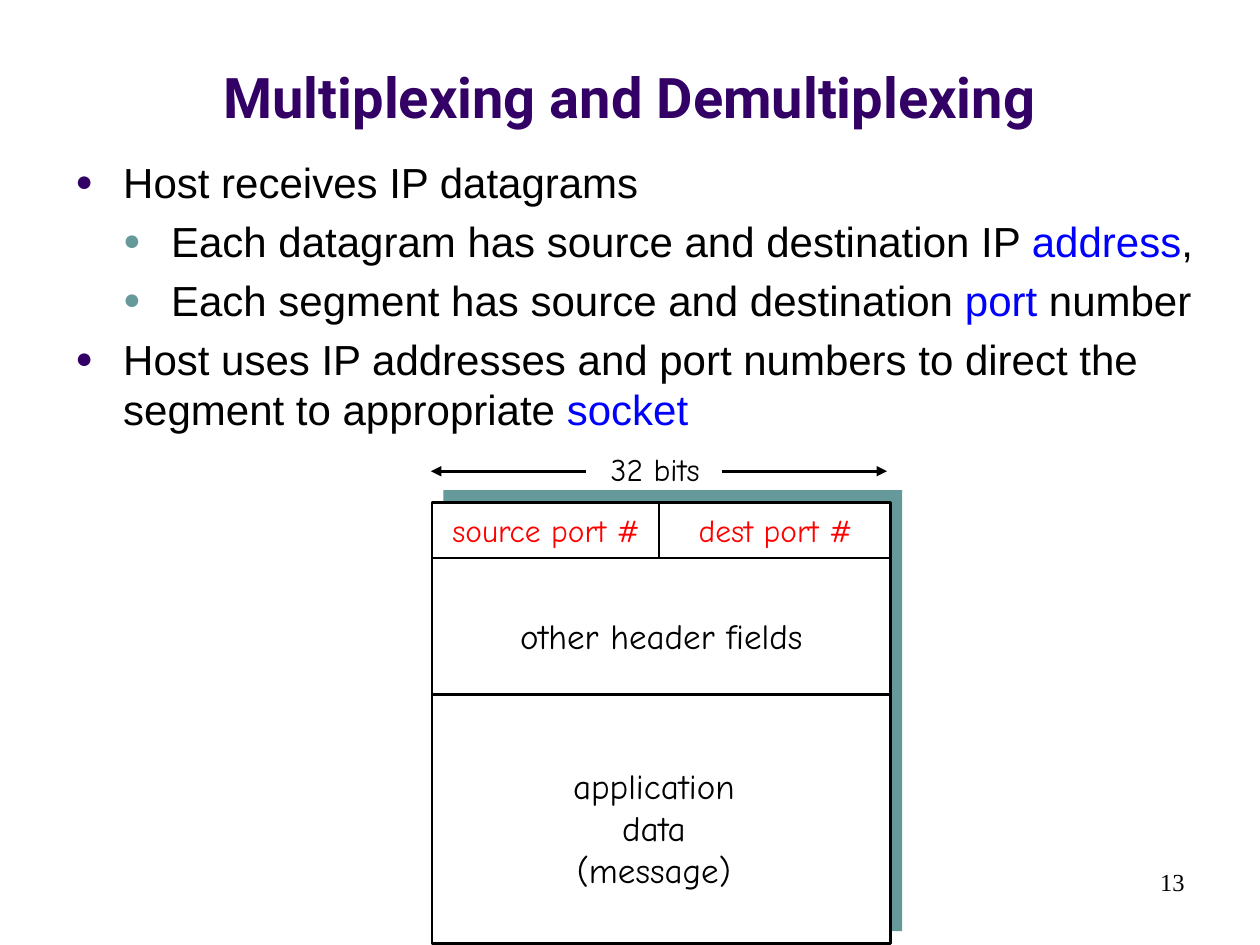
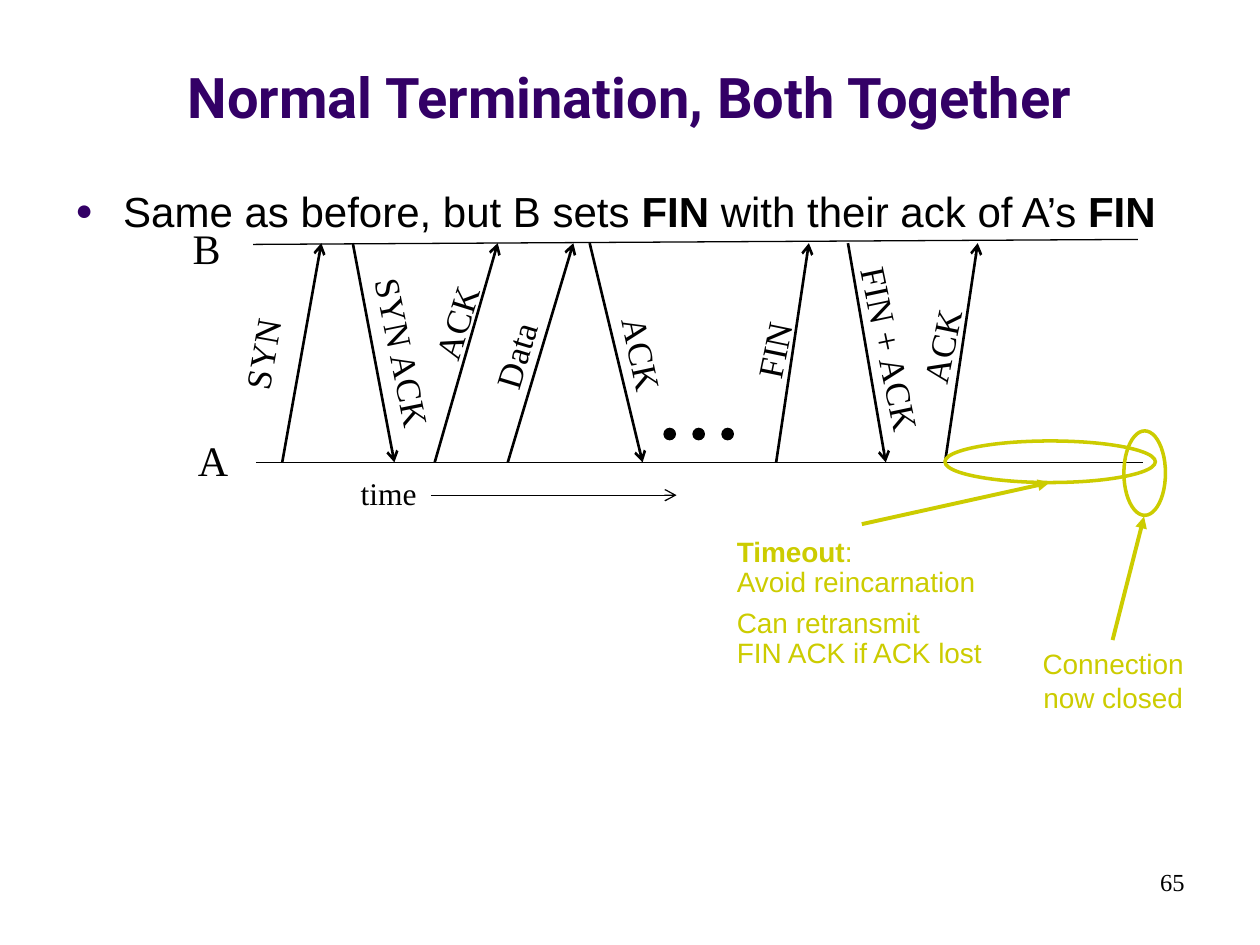
from lxml import etree
from pptx import Presentation, util as u
from pptx.dml.color import RGBColor
from pptx.enum import shapes as sh, text as tx
from pptx.oxml.ns import qn

INK, WHITE, NAVY, TEAL = "000000", "FFFFFF", "330066", "669999"
BLUE, RED, GOLD = "0000FF", "FF0000", "CCCC00"
SANS, SERIF, HAND, HEAD = "Arial", "Times New Roman", "Comic Neue", "Roboto"
MID, LEFT, RIGHT = tx.PP_ALIGN.CENTER, tx.PP_ALIGN.LEFT, tx.PP_ALIGN.RIGHT
RECT, OVAL = sh.MSO_SHAPE.RECTANGLE, sh.MSO_SHAPE.OVAL

# Words between asterisks are emphasised; bullets are (level, text).
PORTS = {
    "title": "Multiplexing and Demultiplexing", "page": "13", "top": 1.19,
    "mark": {"color": BLUE},
    "items": [
        (0, "Host receives IP datagrams"),
        (1, "Each datagram has source and destination IP *address*,"),
        (1, "Each segment has source and destination *port* number"),
        (0, "Host uses IP addresses and port numbers to direct the "
            "segment to appropriate *socket*"),
    ],
}
CLOSE = {
    "title": "Normal Termination, Both Together", "page": "65", "top": 1.42,
    "mark": {"bold": True},
    "items": [(0, "Same as before, but B sets *FIN* with their ack of A’s *FIN*")],
}

# Segment fields: text, left, top, width, height, size, colour
FIELDS = [
    ("32 bits", 4.68, 3.52, 1.04, 0.4, 18, INK),
    ("source port #", 3.42, 4.01, 1.83, 0.4, 18, RED),
    ("dest port #", 5.36, 4.01, 1.59, 0.4, 18, RED),
    ("other header fields", 3.88, 4.83, 2.74, 0.43, 20, INK),
    ("application\ndata\n(message)", 4.4, 6.02, 1.58, 1.1, 20, INK),
]

# Messages: label, goes up, start x, end x, label centre, label width, turn
FLOW = [
    ("SYN", True, 2.24, 2.55, (2.08, 2.81), 0.76, 280.1),
    ("SYN ACK", False, 2.8, 3.13, (3.2, 2.8), 1.41, 78.5),
    ("ACK", True, 3.45, 3.95, (3.62, 2.56), 0.79, 287.4),
    ("Data", True, 4.03, 4.55, (4.09, 2.82), 0.73, 286.7),
    ("ACK", False, 4.68, 5.1, (5.1, 2.81), 0.79, 77.9),
    ("FIN", True, 6.16, 6.42, (6.14, 2.78), 0.65, 281.6),
    ("FIN + ACK", False, 6.73, 7.03, (7.07, 2.77), 1.53, 78.1),
    ("ACK", True, 7.5, 7.76, (7.47, 2.75), 0.79, 281.6),
]
AXIS = [("B", 1.43, 1.72, 0.42, 0.5, 24), ("A", 1.47, 3.4, 0.44, 0.5, 24),
        ("time", 2.76, 3.71, 0.65, 0.4, 18)]
# Note paragraphs: text, line spacing
TIMEOUT = [("*Timeout*:", None), ("Avoid reincarnation", 0.4),
           ("Can retransmit\nFIN ACK if ACK lost", 0.9)]
CLOSED = [("Connection\nnow closed", None)]


def rgb(code):
    """Turn a hex string into a colour."""
    return RGBColor.from_string(code)


def style(run, font, size, color, bold=False):
    """Format one run."""
    run.font.name, run.font.size = font, u.Pt(size)
    run.font.bold, run.font.color.rgb = bold, rgb(color)


def write(para, words, mark=None, **look):
    """Fill a paragraph, applying mark to the words between asterisks."""
    for i, part in enumerate(words.split("*")):
        for j, line in enumerate(part.split("\n")):
            if j:
                para.add_line_break()
            if line:
                run = para.add_run()
                run.text = line
                style(run, **{**look, **(mark if i % 2 else {})})


def frame(slide, at, anchor=tx.MSO_ANCHOR.TOP, wrap=True, turn=0):
    """Add a text box and return its text frame."""
    box = slide.shapes.add_textbox(*map(u.Inches, at))
    box.rotation = turn
    body = box.text_frame
    body.word_wrap, body.vertical_anchor = wrap, anchor
    return body


def label(slide, words, at, font, size, color=INK, turn=0):
    """Add centred text that does not wrap, one paragraph a line."""
    body = frame(slide, at, tx.MSO_ANCHOR.MIDDLE, False, turn)
    body.auto_size = tx.MSO_AUTO_SIZE.SHAPE_TO_FIT_TEXT
    body.text = words
    for para in body.paragraphs:
        para.alignment = MID
        style(para.runs[0], font, size, color)


def note(slide, rows, at, align):
    """Add a gold remark."""
    body = frame(slide, at, tx.MSO_ANCHOR.MIDDLE, False)
    for i, (words, gap) in enumerate(rows):
        para = body.add_paragraph() if i else body.paragraphs[0]
        para.alignment, para.space_before = align, u.Pt(8)
        if gap:
            para.line_spacing = gap
        write(para, words, {"bold": True}, font=SANS, size=16, color=GOLD)


def bullet(para, level):
    """Give a paragraph its hanging indent and round bullet."""
    para.level, para.space_before = level, u.Pt(5)
    props = para._p.get_or_add_pPr()
    props.set("marL", str(u.Inches(0.38 * (level + 1))))
    props.set("indent", str(u.Inches(-0.38)))
    color = etree.SubElement(props, qn("a:buClr"))
    etree.SubElement(color, qn("a:srgbClr"), val=(NAVY, TEAL)[level])
    etree.SubElement(props, qn("a:buSzPct"), val="70000")
    etree.SubElement(props, qn("a:buFont"), typeface=SANS)
    etree.SubElement(props, qn("a:buChar"), char="●")


def shape(slide, kind, at, fill=None, line=None, width=1.5):
    """Add a preset shape."""
    item = slide.shapes.add_shape(kind, *map(u.Inches, at))
    item.shadow.inherit = False
    if fill:
        item.fill.solid()
        item.fill.fore_color.rgb = rgb(fill)
    else:
        item.fill.background()
    if line:
        item.line.color.rgb, item.line.width = rgb(line), u.Pt(width)
    else:
        item.line.fill.background()


def link(slide, x1, y1, x2, y2, tip=None, width=1.5, color=INK):
    """Add a straight line, with an arrowhead at its end if tip is given."""
    item = slide.shapes.add_connector(
        sh.MSO_CONNECTOR.STRAIGHT, *map(u.Inches, (x1, y1, x2, y2)))
    item.line.color.rgb, item.line.width = rgb(color), u.Pt(width)
    props = item._element.spPr
    if tip:
        etree.SubElement(props.find(qn("a:ln")), qn("a:tailEnd"), type=tip)
    etree.SubElement(props, qn("a:effectLst"))


def start(deck, data):
    """Add a slide with title, bullets and page number."""
    slide = deck.slides.add_slide(deck.slide_layouts[6])
    para = frame(slide, (0, 0.13, 10, 0.95), tx.MSO_ANCHOR.BOTTOM).paragraphs[0]
    para.alignment = MID
    write(para, data["title"], font=HEAD, size=32, color=NAVY, bold=True)
    body = frame(slide, (0.5, data["top"], 9.33, 6.71 - data["top"]))
    for i, (level, words) in enumerate(data["items"]):
        para = body.add_paragraph() if i else body.paragraphs[0]
        bullet(para, level)
        write(para, words, data["mark"], font=SANS, size=24, color=INK)
    para = frame(slide, (7.17, 6.83, 2.33, 0.5)).paragraphs[0]
    para.alignment = RIGHT
    write(para, data["page"], font=SERIF, size=14, color=INK)
    return slide


def segment(slide):
    """Draw the segment layout."""
    left, top, wide, high = 3.43, 3.99, 3.64, 3.5
    shape(slide, RECT, (left + 0.09, top - 0.1, wide, high), TEAL)
    shape(slide, RECT, (left, top, wide, high), WHITE, INK)
    for y in (4.43, 5.51):
        link(slide, left, y, left + wide, y)
    link(slide, 5.23, 4.43, 5.23, top)
    for x1, x2 in ((5.73, 7.04), (4.65, 3.42)):
        link(slide, x1, 3.74, x2, 3.74, "triangle")
    for words, x, y, w, h, size, color in FIELDS:
        label(slide, words, (x, y, w, h), HAND, size, color)


def timeline(slide):
    """Draw the message exchange between A and B."""
    high, low, tall = 1.93, 3.67, 0.43
    link(slide, 2.01, 1.94, 9.03, 1.9, width=0.75)
    link(slide, 2.03, low, 9.07, low, width=0.75)
    link(slide, 3.42, 3.93, 5.37, 3.93, "arrow", 0.75)
    for words, up, x1, x2, (cx, cy), w, turn in FLOW:
        y1, y2 = (low, high) if up else (high, low)
        link(slide, x1, y1, x2, y2, "arrow")
        label(slide, words, (cx - w / 2, cy - tall / 2, w, tall),
              SERIF, 20, turn=turn)
    for words, x, y, w, h, size in AXIS:
        label(slide, words, (x, y, w, h), SERIF, size)
    for i in range(3):
        shape(slide, OVAL, (5.27 + 0.23 * i, 3.4, 0.09, 0.09), INK, INK, 0.75)


def remarks(slide):
    """Ring the end of the exchange and explain it."""
    for ring in ((8.92, 3.42, 0.33, 0.67), (7.5, 3.5, 1.67, 0.33)):
        shape(slide, OVAL, ring, line=GOLD, width=2)
    for ends in ((8.83, 5.08, 9.08, 4.1), (6.84, 4.16, 8.33, 3.83)):
        link(slide, *ends, "triangle", 2.25, GOLD)
    note(slide, CLOSED, (8.17, 5.08, 1.33, 0.64), MID)
    note(slide, TIMEOUT, (5.75, 4.16, 2.17, 1.24), LEFT)


deck = Presentation()
deck.slide_width, deck.slide_height = u.Inches(10), u.Inches(7.5)
segment(start(deck, PORTS))
last = start(deck, CLOSE)
timeline(last)
remarks(last)
deck.save("out.pptx")
